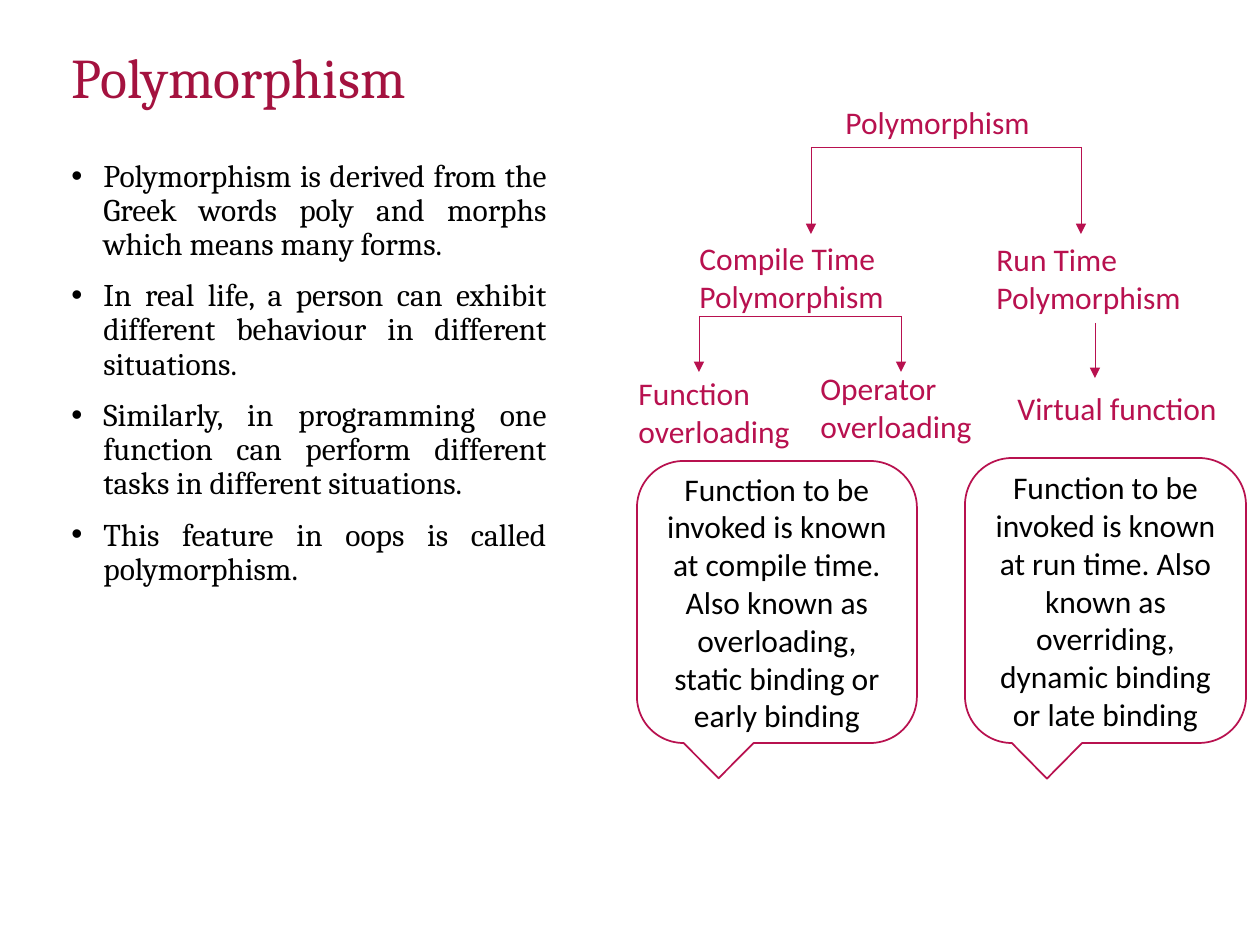
from lxml import etree
from pptx import Presentation
from pptx.dml.color import RGBColor
from pptx.enum.shapes import MSO_CONNECTOR, MSO_SHAPE
from pptx.enum.text import MSO_ANCHOR, PP_ALIGN
from pptx.oxml.ns import qn
from pptx.util import Emu, Pt

STRAIGHT = MSO_CONNECTOR.STRAIGHT
CALLOUT = MSO_SHAPE.ROUNDED_RECTANGULAR_CALLOUT
MIDDLE, TOP = MSO_ANCHOR.MIDDLE, MSO_ANCHOR.TOP
CENTER, JUSTIFY = PP_ALIGN.CENTER, PP_ALIGN.JUSTIFY

PX = 914400 / 126  # EMU in one px
BOTTOM_SIDE = 2
COLORS = {"title": "A4123F", "accent": "B8114F", "text": "000000", "paper": "FFFFFF"}


def px(*lengths):
    return [Emu(round(length * PX)) for length in lengths]


def add_run(paragraph, text, font, size, color):
    run = paragraph.add_run()
    run.text = text
    run.font.name = font
    run.font.size = Pt(size)
    run.font.color.rgb = RGBColor.from_string(COLORS[color])


prs = Presentation()
prs.slide_width, prs.slide_height = px(1260, 945)
slide = prs.slides.add_slide(prs.slide_layouts[6])
shapes = slide.shapes

# Title
title = shapes.add_textbox(*px(59, 48, 1158, 64)).text_frame
title.word_wrap = True
title.vertical_anchor = MIDDLE
title.paragraphs[0].line_spacing = 0.9
add_run(title.paragraphs[0], "Polymorphism", "Cambria", 32, "title")

# Bulleted explanation
points = [
    "Polymorphism is derived from the Greek words poly and morphs which means many forms.",
    "In real life, a person can exhibit different behaviour in different situations.",
    "Similarly, in programming one function can perform different tasks in different situations.",
    "This feature in oops is called polymorphism.",
]
explanation = shapes.add_textbox(*px(59, 154, 500, 679)).text_frame
explanation.word_wrap = True
explanation.vertical_anchor = TOP
indent = px(32)[0]
for i, point in enumerate(points):
    paragraph = explanation.paragraphs[0] if i == 0 else explanation.add_paragraph()
    properties = paragraph._p.get_or_add_pPr()
    properties.set("marL", str(indent))
    properties.set("indent", str(-indent))
    etree.SubElement(properties, qn("a:buFont")).set("typeface", "Arial")
    etree.SubElement(properties, qn("a:buChar")).set("char", "•")
    paragraph.alignment = JUSTIFY
    paragraph.line_spacing = 0.9
    if i > 0:
        paragraph.space_before = Pt(10)
    add_run(paragraph, point, "Cambria", 18, "text")

# Labels of the tree
labels = [
    ("Polymorphism", 833, 97, 272, 50),
    ("Compile Time Polymorphism", 687, 233, 272, 89),
    ("Run Time Polymorphism", 984, 234, 222, 89),
    ("Function overloading", 626, 368, 185, 89),
    ("Operator overloading", 808, 363, 185, 89),
    ("Virtual function", 1005, 383, 272, 50),
]
label_boxes = {}
for text, *place in labels:
    box = shapes.add_textbox(*px(*place))
    box.text_frame.word_wrap = True
    add_run(box.text_frame.paragraphs[0], text, "Calibri", 18, "accent")
    label_boxes[text] = box

# Branches: two forks and the single arrow to the virtual function
branches = [
    (811, 147, 1082, 147, False),
    (811, 147, 811, 234, True),
    (1081, 147, 1081, 234, True),
    (699, 316, 901, 316, False),
    (699, 316, 699, 372, True),
    (901, 316, 901, 372, True),
    (1095, 323, 1095, 378, True),
]
for *ends, has_arrow in branches:
    branch = shapes.add_connector(STRAIGHT, *px(*ends))
    branch.line.color.rgb = RGBColor.from_string(COLORS["accent"])
    branch.line.width = Pt(0.5)
    if has_arrow:
        line = branch.line._get_or_add_ln()
        etree.SubElement(line, qn("a:tailEnd")).set("type", "triangle")
    etree.SubElement(branch._element.spPr, qn("a:effectLst"))
# The last branch starts under the run time label
branch.begin_connect(label_boxes["Run Time Polymorphism"], BOTTOM_SIDE)

# Callouts describing each kind of binding
callouts = [
    ("Function to be invoked is known at compile time. Also known as "
     "overloading, static binding or early binding", 637, 461, 280, 282),
    ("Function to be invoked is known at run time. Also known as "
     "overriding, dynamic binding or late binding", 965, 458, 281, 285),
]
for text, *place in callouts:
    callout = shapes.add_shape(CALLOUT, *px(*place))
    callout.shadow.inherit = False
    callout.fill.solid()
    callout.fill.fore_color.rgb = RGBColor.from_string(COLORS["paper"])
    callout.line.color.rgb = RGBColor.from_string(COLORS["accent"])
    callout.line.width = Pt(1)
    frame = callout.text_frame
    frame.word_wrap = True
    frame.vertical_anchor = MIDDLE
    frame.paragraphs[0].alignment = CENTER
    add_run(frame.paragraphs[0], text, "Calibri", 18, "text")

prs.save("out.pptx")
